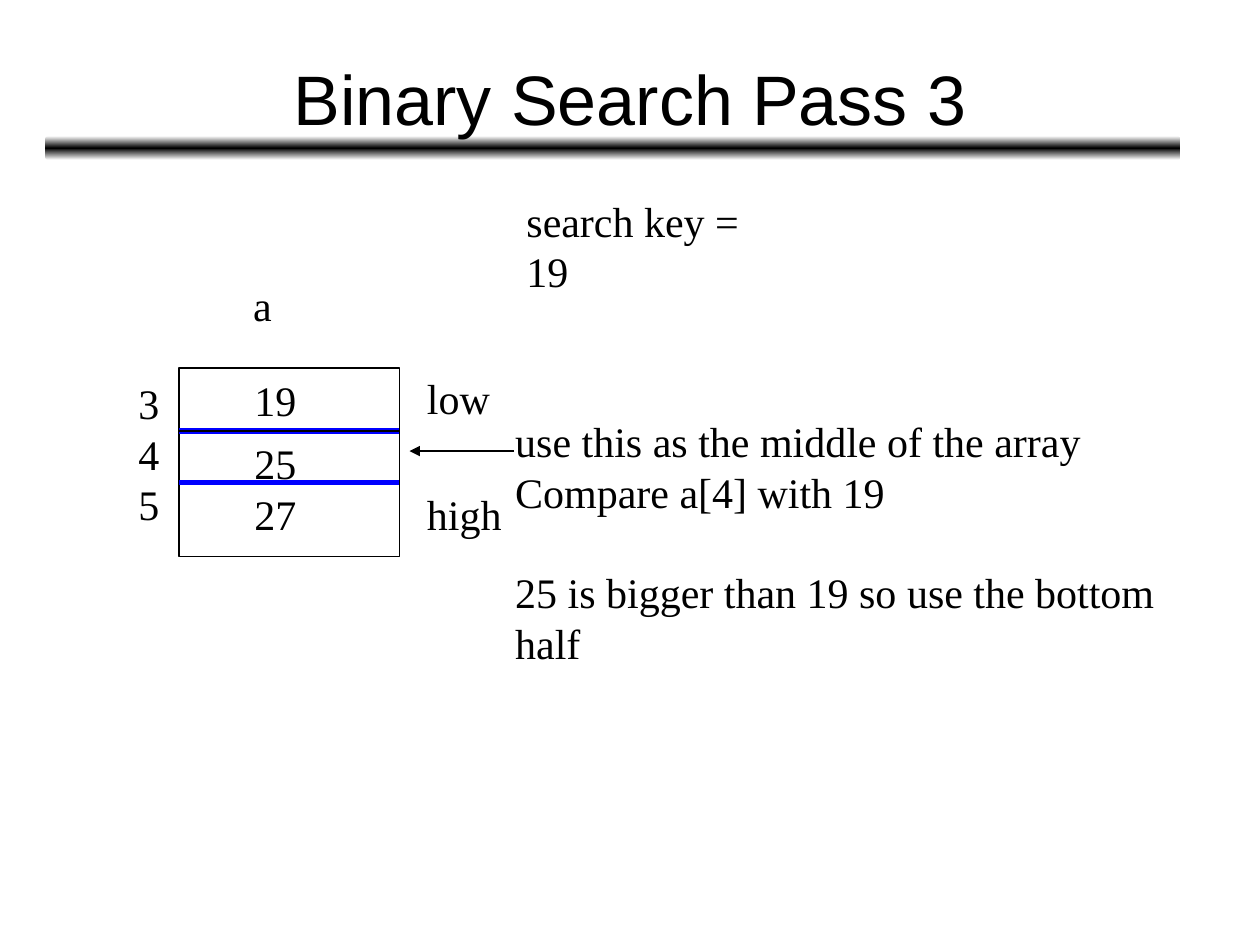
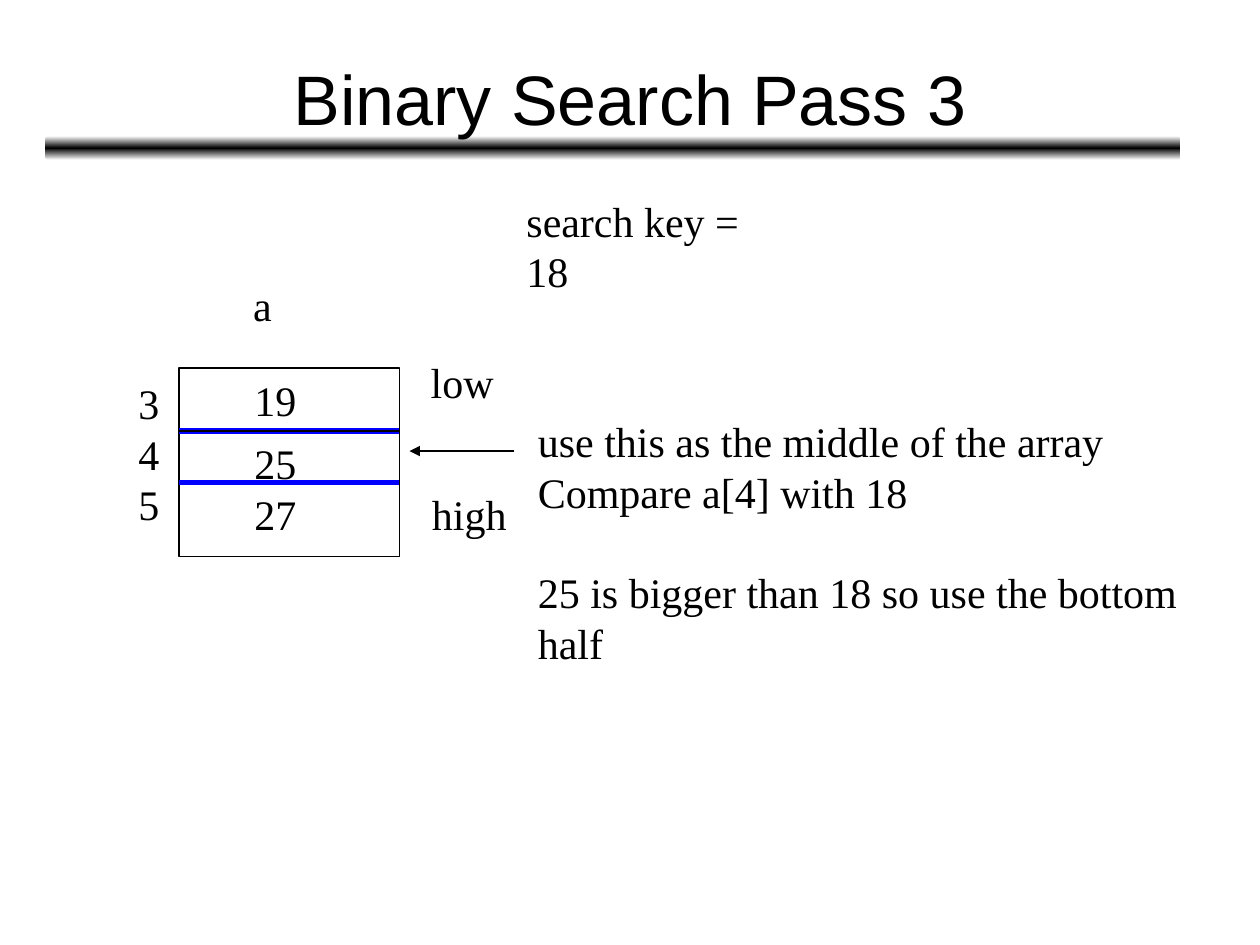
from dataclasses import dataclass

from pptx import Presentation
from pptx.dml.color import RGBColor
from pptx.enum.shapes import MSO_CONNECTOR, MSO_SHAPE
from pptx.enum.text import MSO_ANCHOR, MSO_AUTO_SIZE, PP_ALIGN
from pptx.oxml import parse_xml
from pptx.oxml.ns import nsdecls
from pptx.slide import Slide
from pptx.util import Inches, Pt

BLACK = RGBColor(0x00, 0x00, 0x00)
WHITE = RGBColor(0xFF, 0xFF, 0xFF)
BLUE = RGBColor(0x00, 0x00, 0xFF)
TITLE_FONT, BODY_FONT = "Arial", "Times New Roman"
TITLE_SIZE, BODY_SIZE, LINE_PITCH = Pt(40), Pt(24), Pt(28.8)
THIN, THICK = Pt(0.75), Pt(3)
LINE_HEIGHT, INSETS = 0.4, 0.1
ARRAY_LEFT, ARRAY_TOP, ARRAY_WIDTH, ARRAY_HEIGHT = 1.42, 2.92, 1.75, 1.5
ARRAY_RIGHT = ARRAY_LEFT + ARRAY_WIDTH
ROW_TOPS = (ARRAY_TOP, 3.42, 3.83)
VALUES = ("19", "25", "27")


@dataclass(frozen=True)
class Label:
    """A block of body text; a new group starts after an empty line's height."""

    left: float
    top: float
    width: float
    groups: tuple[tuple[str, ...], ...]


@dataclass(frozen=True)
class Rule:
    """A straight line, with an optional arrowhead at its end."""

    start: tuple[float, float]
    end: tuple[float, float]
    color: RGBColor = BLACK
    weight: Pt = THIN
    arrow: bool = False


@dataclass(frozen=True)
class SearchPass:
    """What differs between the slides."""

    key: int
    low: tuple[float, float]
    high: tuple[float, float]
    advice_left: float


PASSES = (
    SearchPass(19, (3.29, 2.91), (3.29, 3.83), 3.99),
    SearchPass(18, (3.32, 2.78), (3.33, 3.83), 4.17),
)


def add_title(slide: Slide, text: str) -> None:
    """Draw the shaded band and the title above it."""
    band = slide.shapes.add_shape(
        MSO_SHAPE.ROUNDED_RECTANGLE, Inches(0.36), Inches(1.08), Inches(9.01), Inches(0.19)
    )
    band.shadow.inherit = False
    band.line.fill.background()
    stops = "".join(
        f'<a:gs pos="{position}"><a:srgbClr val="{color}"/></a:gs>'
        for position, color in ((0, WHITE), (50000, BLACK), (100000, WHITE))
    )
    gradient = parse_xml(
        f'<a:gradFill {nsdecls("a")}><a:gsLst>{stops}</a:gsLst>'
        '<a:lin ang="5400000" scaled="0"/></a:gradFill>'
    )
    band.element.spPr.insert(2, gradient)

    box = slide.shapes.add_textbox(Inches(0.5), Inches(0.3), Inches(9), Inches(0.95))
    frame = box.text_frame
    frame.word_wrap = True
    frame.vertical_anchor = MSO_ANCHOR.MIDDLE
    paragraph = frame.paragraphs[0]
    paragraph.alignment = PP_ALIGN.CENTER
    run = paragraph.add_run()
    run.text = text
    run.font.name, run.font.size = TITLE_FONT, TITLE_SIZE
    run.font.color.rgb = BLACK


def add_label(slide: Slide, label: Label) -> None:
    """Write a label, one paragraph a line."""
    line_count = sum(map(len, label.groups)) + len(label.groups) - 1
    box = slide.shapes.add_textbox(
        Inches(label.left), Inches(label.top),
        Inches(label.width), Inches(line_count * LINE_HEIGHT + INSETS),
    )
    frame = box.text_frame
    frame.word_wrap = False
    frame.auto_size = MSO_AUTO_SIZE.SHAPE_TO_FIT_TEXT
    for group_index, group in enumerate(label.groups):
        for line_index, text in enumerate(group):
            first = group_index == line_index == 0
            paragraph = frame.paragraphs[0] if first else frame.add_paragraph()
            paragraph.line_spacing = LINE_PITCH
            if group_index and line_index == 0:
                paragraph.space_before = LINE_PITCH
            run = paragraph.add_run()
            run.text = text
            run.font.name, run.font.size = BODY_FONT, BODY_SIZE
            run.font.color.rgb = BLACK


def add_rule(slide: Slide, rule: Rule) -> None:
    """Draw a line or an arrow."""
    connector = slide.shapes.add_connector(
        MSO_CONNECTOR.STRAIGHT, *map(Inches, rule.start), *map(Inches, rule.end)
    )
    connector.line.color.rgb = rule.color
    connector.line.width = rule.weight
    if rule.arrow:
        connector.line._get_or_add_ln().append(
            parse_xml(f'<a:tailEnd {nsdecls("a")} type="triangle"/>')
        )
    connector.element.spPr.append(parse_xml(f'<a:effectLst {nsdecls("a")}/>'))


def add_array(slide: Slide) -> None:
    """Draw the array with its name, indexes, row lines and values."""
    frame = slide.shapes.add_shape(
        MSO_SHAPE.RECTANGLE, Inches(ARRAY_LEFT), Inches(ARRAY_TOP),
        Inches(ARRAY_WIDTH), Inches(ARRAY_HEIGHT),
    )
    frame.shadow.inherit = False
    frame.fill.background()
    frame.line.color.rgb = BLACK
    frame.line.width = THIN
    for top, color, weight in (
        (ROW_TOPS[1], BLUE, THICK),
        (ROW_TOPS[1], BLACK, THIN),
        (ROW_TOPS[2], BLUE, THICK),
    ):
        add_rule(slide, Rule((ARRAY_LEFT, top), (ARRAY_RIGHT, top), color, weight))
    add_label(slide, Label(1.91, 2.17, 0.35, (("a",),)))
    add_label(slide, Label(1, 2.95, 0.36, (("3", "4", "5"),)))
    for top, value in zip(ROW_TOPS, VALUES):
        add_label(slide, Label(1.92, top, 0.53, ((value,),)))


def add_pass(presentation: Presentation, search: SearchPass) -> None:
    """Build the slide of one search."""
    slide = presentation.slides.add_slide(presentation.slide_layouts[6])
    add_title(slide, "Binary Search Pass 3")
    add_array(slide)
    add_rule(slide, Rule((4.08, 3.58), (3.25, 3.58), arrow=True))
    advice = (
        ("use this as the middle of the array", f"Compare a[4] with {search.key}"),
        (f"25 is bigger than {search.key} so use the bottom", "half"),
    )
    for label in (
        Label(4.08, 1.5, 2.3, ((f"search key = {search.key}",),)),
        Label(search.advice_left, 3.25, 5.35, advice),
        Label(*search.low, 0.7, (("low",),)),
        Label(*search.high, 0.79, (("high",),)),
    ):
        add_label(slide, label)


def main() -> None:
    """Build and save the presentation."""
    presentation = Presentation()
    presentation.slide_width, presentation.slide_height = Inches(10), Inches(7.5)
    for search in PASSES:
        add_pass(presentation, search)
    presentation.save("out.pptx")


if __name__ == "__main__":
    main()
